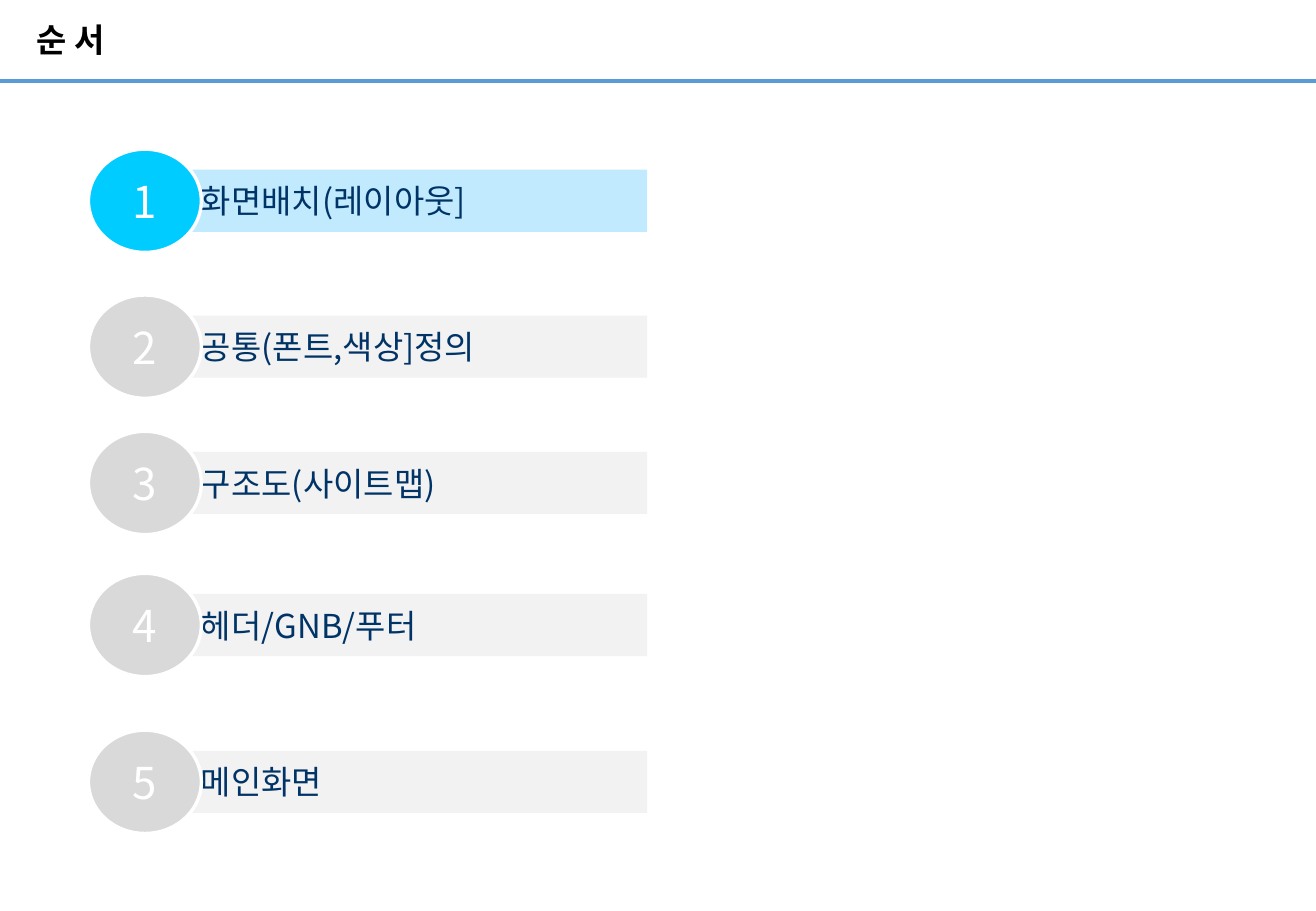
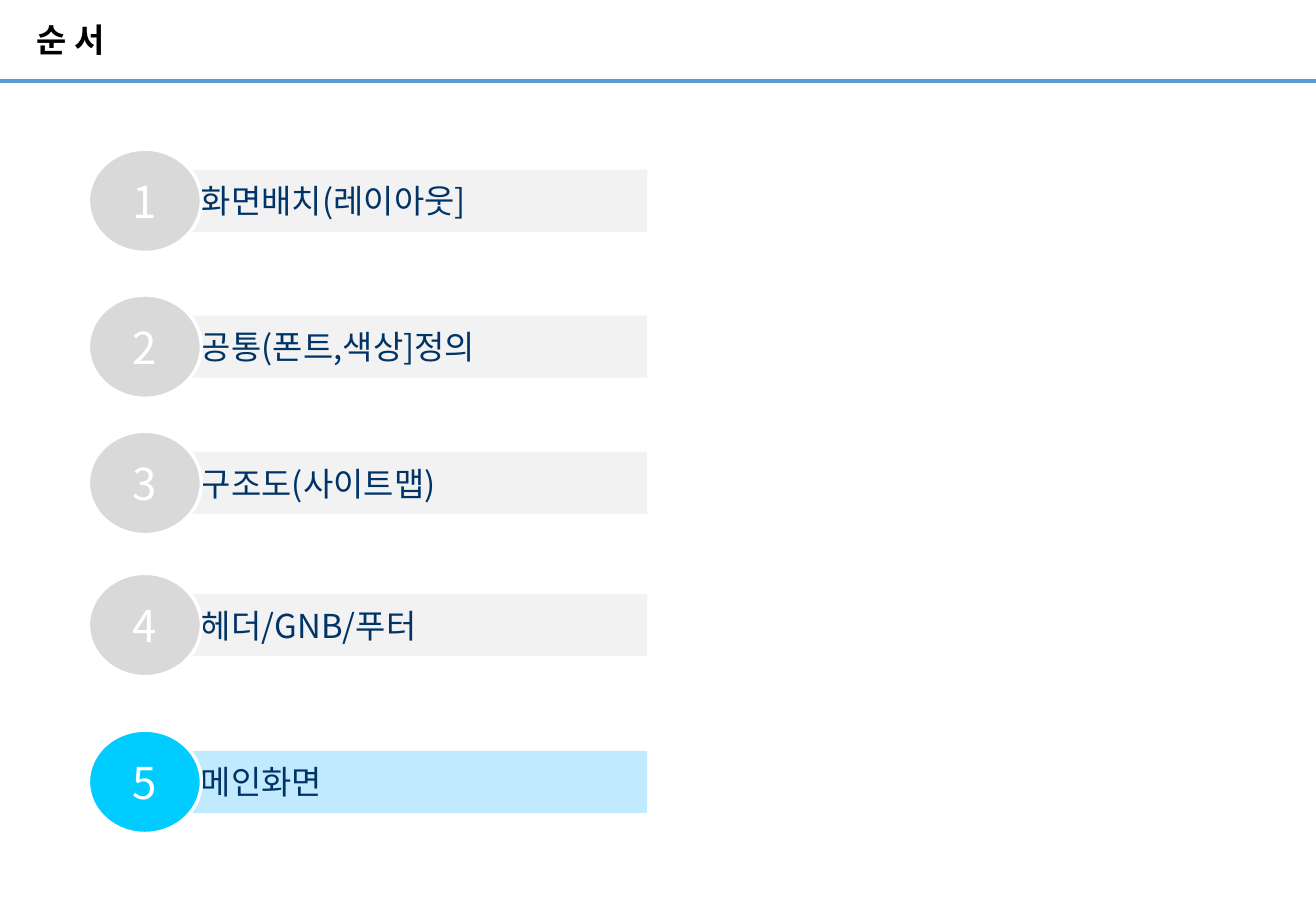
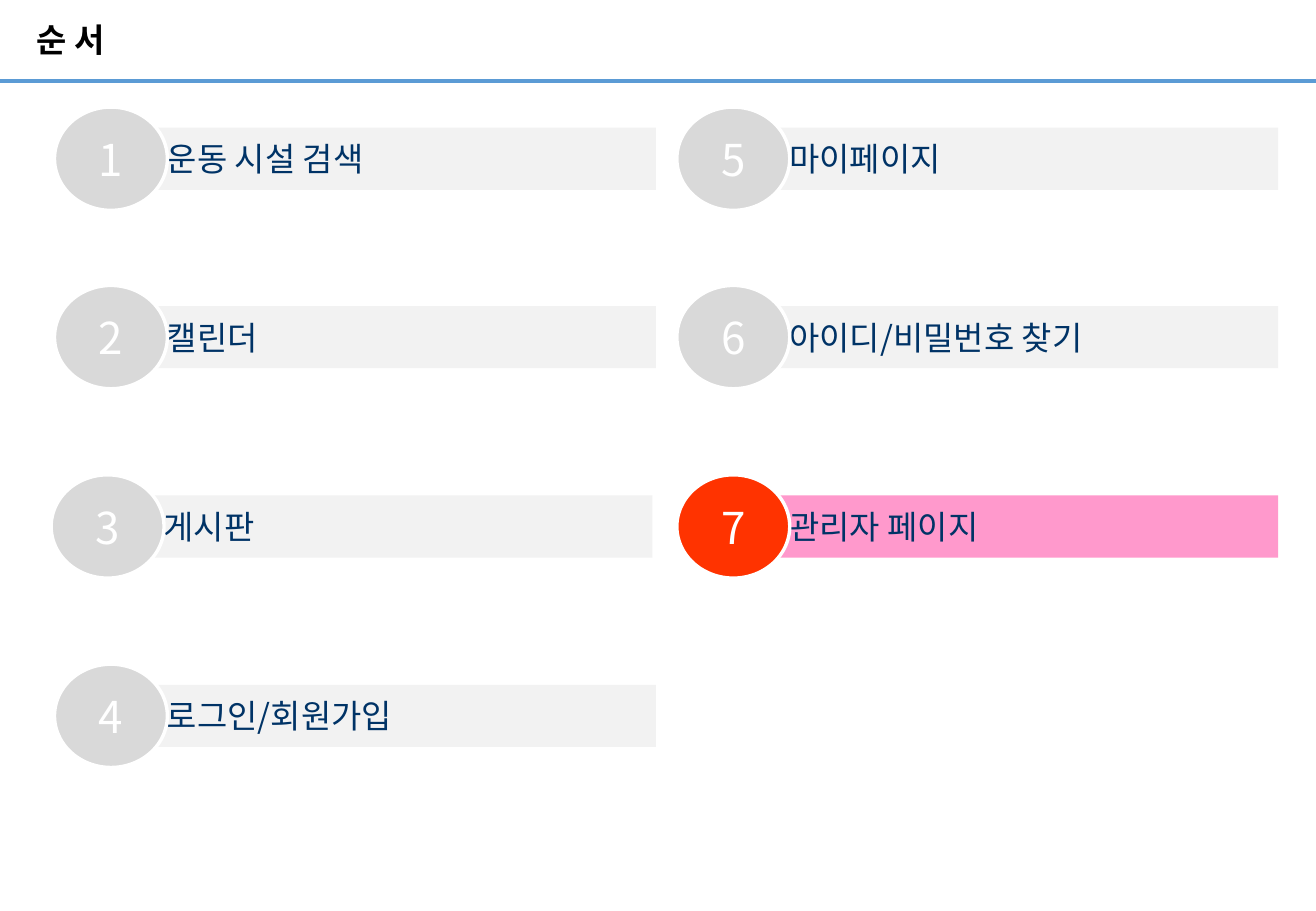
from lxml import etree
from pptx import Presentation
from pptx.dml.color import RGBColor
from pptx.enum.shapes import MSO_CONNECTOR, MSO_SHAPE
from pptx.enum.text import MSO_ANCHOR, PP_ALIGN
from pptx.oxml.ns import qn
from pptx.util import Cm, Pt

STRAIGHT = MSO_CONNECTOR.STRAIGHT
RECTANGLE, OVAL = MSO_SHAPE.RECTANGLE, MSO_SHAPE.OVAL
MIDDLE = MSO_ANCHOR.MIDDLE
LEFT, CENTER = PP_ALIGN.LEFT, PP_ALIGN.CENTER

TITLE = "순 서"
TITLE_FONT, BODY_FONT = "Arial", "Noto Sans CJK KR"
BLACK, WHITE, NAVY, RULE_BLUE = "000000", "FFFFFF", "003366", "5B9BD5"

# Disc colour, bar colour
PLAIN = ("D9D9D9", "F2F2F2")
BLUE = ("00CCFF", "C1EAFF")
PINK = ("FF3300", "FF99CC")

# Lengths in centimetres
PAGE_WIDTH, PAGE_HEIGHT = 27.51, 19.05
RULE_TOP = 1.7
DISC_WIDTH, DISC_HEIGHT = 2.36, 2.16
BAR_HEIGHT, BAR_INDENT = 1.3, 0.94
LABEL_INSET = 1.41

COMMON_ITEMS = ["화면배치(레이아웃]", "공통(폰트,색상]정의", "구조도(사이트맵)",
                "헤더/GNB/푸터", "메인화면"]
COMMON_PLACES = [(1.85, top) for top in (3.12, 6.17, 9.02, 11.99, 15.27)]

PAGE_ITEMS = ["운동 시설 검색", "캘린더", "게시판", "로그인/회원가입",
              "마이페이지", "아이디/비밀번호 찾기", "관리자 페이지"]
PAGE_PLACES = [(1.14, 2.24), (1.14, 5.97), (1.07, 9.93), (1.14, 13.89),
               (14.15, 2.24), (14.15, 5.97), (14.15, 9.93)]

AGENDAS = [
    dict(items=COMMON_ITEMS, places=COMMON_PLACES, bar_width=10.74, current=1, accent=BLUE),
    dict(items=COMMON_ITEMS, places=COMMON_PLACES, bar_width=10.74, current=5, accent=BLUE),
    dict(items=PAGE_ITEMS, places=PAGE_PLACES, bar_width=11.63, current=7, accent=PINK),
]


def colour(hex_text):
    return RGBColor.from_string(hex_text)


def write(box, text, size, font_name, font_colour, align, inset=0, bold=False):
    frame = box.text_frame
    frame.word_wrap = True
    frame.vertical_anchor = MIDDLE
    frame.margin_left = Cm(inset)
    frame.margin_right = frame.margin_top = frame.margin_bottom = 0
    para = frame.paragraphs[0]
    para.alignment = align
    span = para.add_run()
    span.text = text
    span.font.size = Pt(size)
    span.font.bold = bold
    span.font.name = font_name
    span.font.color.rgb = colour(font_colour)
    east_asian = etree.SubElement(span.font._element, qn("a:ea"))
    east_asian.set("typeface", BODY_FONT)
    return para


def add_filled(page, kind, left, top, width, height, fill):
    shape = page.shapes.add_shape(kind, Cm(left), Cm(top), Cm(width), Cm(height))
    shape.shadow.inherit = False
    shape.fill.solid()
    shape.fill.fore_color.rgb = colour(fill)
    shape.line.fill.background()
    return shape


def add_page(deck):
    """Add a slide with the shared title and the rule below it."""
    page = deck.slides.add_slide(deck.slide_layouts[5])
    title = page.shapes.title
    title.left, title.top, title.width, title.height = Cm(0.76), 0, Cm(18), Cm(1.73)
    write(title, TITLE, 19.5, TITLE_FONT, BLACK, LEFT, bold=True).line_spacing = 0.9
    rule = page.shapes.add_connector(STRAIGHT, 0, Cm(RULE_TOP), Cm(PAGE_WIDTH), Cm(RULE_TOP))
    rule.line.color.rgb = colour(RULE_BLUE)
    rule.line.width = Pt(2.25)
    etree.SubElement(rule._element.spPr, qn("a:effectLst"))
    return page


def add_entry(page, number, label, left, top, bar_width, scheme):
    """Add a labelled bar with its numbered disc in front."""
    disc_fill, bar_fill = scheme
    bar_top = top + (DISC_HEIGHT - BAR_HEIGHT) / 2
    bar = add_filled(page, RECTANGLE, left + BAR_INDENT, bar_top, bar_width, BAR_HEIGHT, bar_fill)
    write(bar, label, 19.5, BODY_FONT, NAVY, LEFT, LABEL_INSET)
    disc = add_filled(page, OVAL, left, top, DISC_WIDTH, DISC_HEIGHT, disc_fill)
    disc.line.color.rgb = colour(WHITE)
    disc.line.width = Pt(2)
    write(disc, str(number), 26, BODY_FONT, WHITE, CENTER)


def main():
    deck = Presentation()
    deck.slide_width, deck.slide_height = Cm(PAGE_WIDTH), Cm(PAGE_HEIGHT)
    for agenda in AGENDAS:
        page = add_page(deck)
        entries = zip(agenda["items"], agenda["places"])
        for number, (label, (left, top)) in enumerate(entries, start=1):
            scheme = agenda["accent"] if number == agenda["current"] else PLAIN
            add_entry(page, number, label, left, top, agenda["bar_width"], scheme)
    deck.save("out.pptx")


if __name__ == "__main__":
    main()
